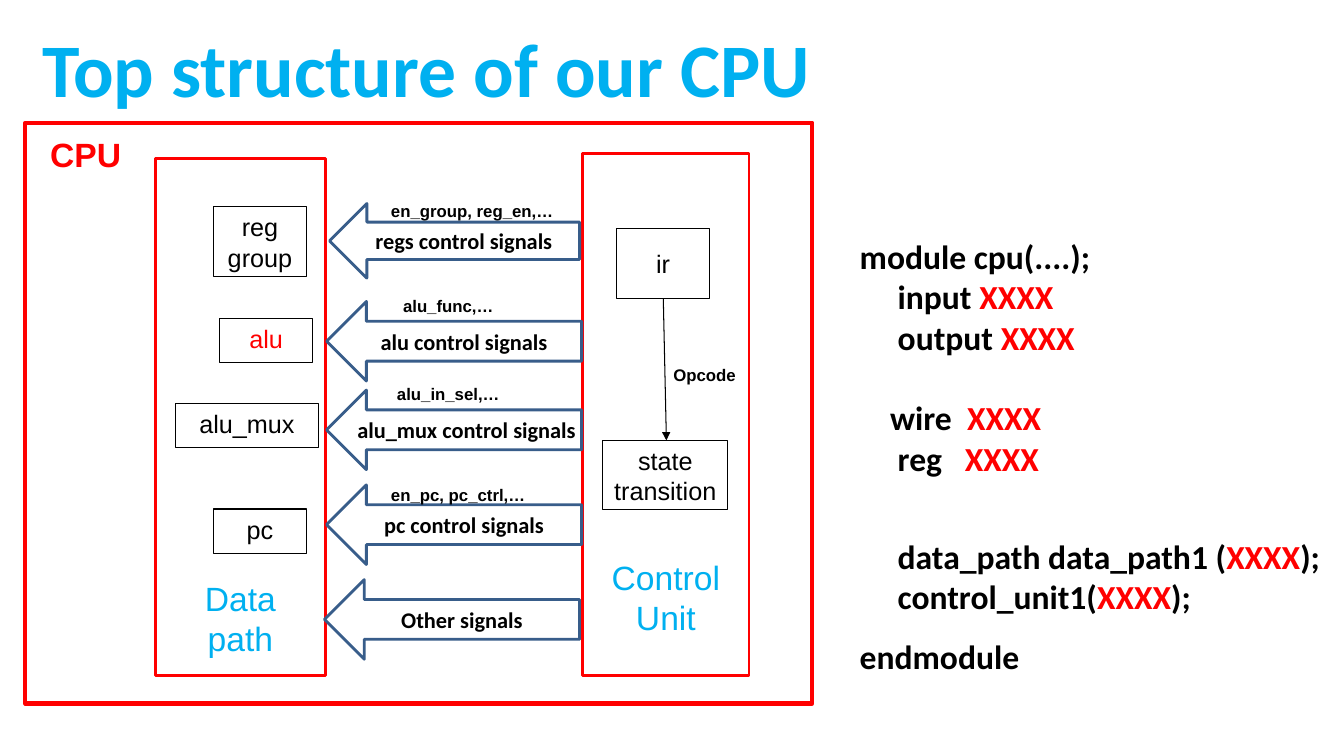
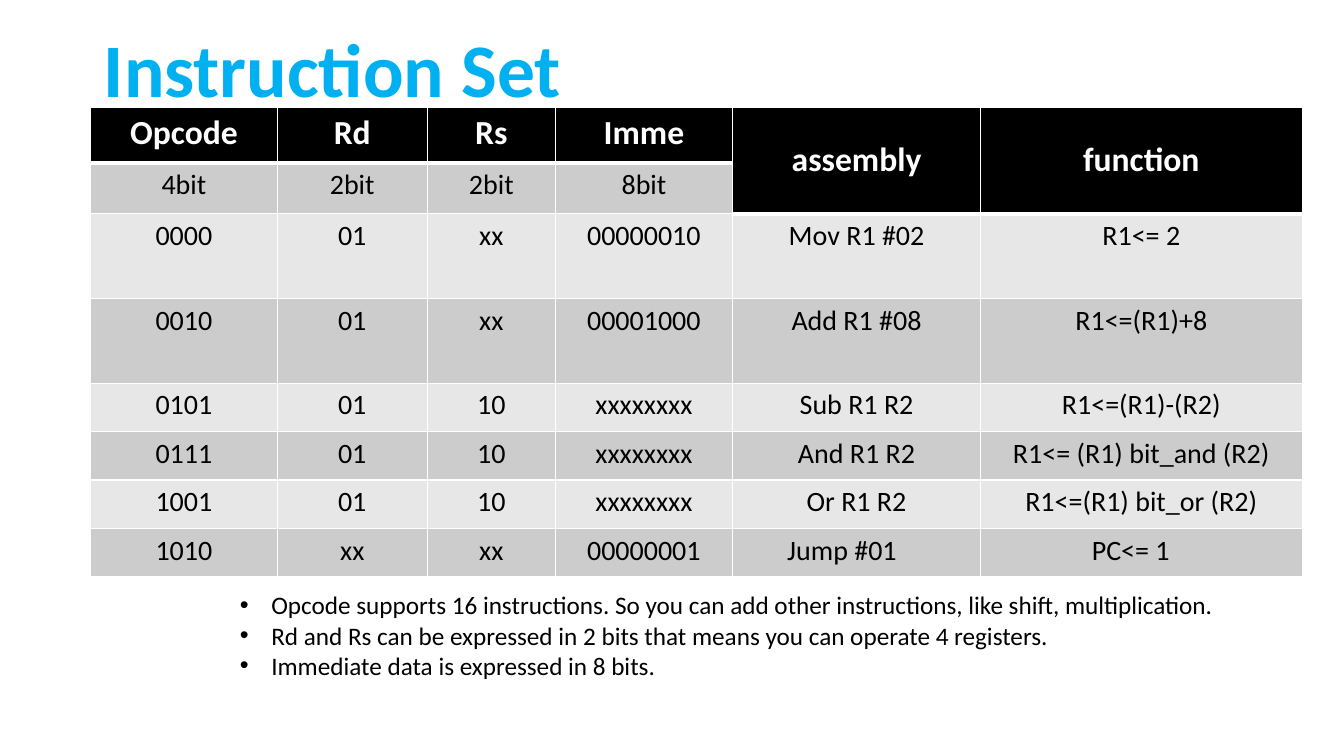
"""Build two slides on a simple CPU: its top structure and its instruction set."""
from lxml import etree
from pptx import Presentation
from pptx.dml.color import RGBColor
from pptx.enum import shapes, text
from pptx.oxml import ns
from pptx.util import Pt

BLACK = RGBColor(0x00, 0x00, 0x00)
WHITE = RGBColor(0xFF, 0xFF, 0xFF)
RED = RGBColor(0xFF, 0x00, 0x00)
CYAN = RGBColor(0x00, 0xB0, 0xF0)
NAVY = RGBColor(0x38, 0x5D, 0x8A)
DARK_BAND = RGBColor(0xCC, 0xCC, 0xCC)
LIGHT_BAND = RGBColor(0xE7, 0xE7, 0xE7)

TITLE = {"name": "Calibri", "size": Pt(54), "bold": True}
CODE = {"name": "Calibri", "size": Pt(24), "bold": True}
ARROW = {"name": "Calibri", "size": Pt(16), "bold": True}
BODY = {"name": "Calibri", "size": Pt(18), "bold": False}
CELL = {"name": "Calibri", "size": Pt(20), "bold": False}
CPU = {"name": "Arial", "size": Pt(24), "bold": True}
UNIT = {"name": "Arial", "size": Pt(24), "bold": False}
BLOCK = {"name": "Arial", "size": Pt(18), "bold": False}
LABEL = {"name": "Arial", "size": Pt(12), "bold": True}

LEFT, CENTER = text.PP_ALIGN.LEFT, text.PP_ALIGN.CENTER
TOP, MIDDLE, BOTTOM = (text.MSO_ANCHOR.TOP, text.MSO_ANCHOR.MIDDLE,
                       text.MSO_ANCHOR.BOTTOM)
RECT = shapes.MSO_SHAPE.RECTANGLE
LEFT_ARROW = shapes.MSO_SHAPE.LEFT_ARROW

BLOCKS = [
    ("reg group", (152.6, 147.6, 66.2, 49.7), TOP, BLACK),
    ("alu", (157, 227.5, 66.2, 31.7), TOP, RED),
    ("alu_mux", (125.3, 288, 102.2, 31.7), TOP, BLACK),
    ("pc", (152.6, 363.6, 66.2, 31.7), TOP, BLACK),
    ("ir", (440.6, 163.4, 66.2, 49.7), MIDDLE, BLACK),
    ("state\ntransition", (430.6, 314.6, 89.3, 49.7), TOP, BLACK),
]
ARROWS = [
    ("regs control signals", (235.4, 145.4, 178.6, 53.3), {}),
    ("alu control signals", (233.3, 215.3, 182.2, 56.9), {}),
    ("alu_mux control signals", (233.3, 278.6, 182.2, 56.9),
     {"margin_left": Pt(3.6), "margin_right": Pt(0)}),
    ("pc control signals", (233.3, 346.3, 182.2, 56.9), {}),
    ("Other signals", (231.8, 414, 182.2, 56.9), {}),
]
LABELS = [
    ("en_group, reg_en,…", (272.2, 139.7, 141.8, 21.6)),
    ("alu_func,…", (280.8, 207.4, 123.8, 21.6)),
    ("alu_in_sel,…", (276.5, 270.7, 125.3, 21.6)),
    ("en_pc, pc_ctrl,…", (272.2, 342.7, 141.8, 21.6)),
    ("Opcode", (473.8, 257, 65.5, 21.6)),
]
CODE_LINES = [
    ("module cpu(....);", {"line_spacing": 1.5}),
    ("     input XXXX", {}),
    ("     output XXXX", {}),
    ("    wire  XXXX", {"space_before": Pt(29)}),
    ("     reg   XXXX", {}),
    ("     data_path data_path1 (XXXX);", {"space_before": Pt(41)}),
    ("     control_unit1(XXXX);", {}),
    ("endmodule", {"line_spacing": 1.5}),
]
INSTRUCTIONS = [
    ("Opcode", "Rd", "Rs", "Imme", "assembly", "function"),
    ("4bit", "2bit", "2bit", "8bit", "", ""),
    ("0000", "01", "xx", "00000010", "Mov R1 #02", "R1<= 2"),
    ("0010", "01", "xx", "00001000", "Add R1 #08", "R1<=(R1)+8"),
    ("0101", "01", "10", "xxxxxxxx", "Sub R1 R2", "R1<=(R1)-(R2)"),
    ("0111", "01", "10", "xxxxxxxx", "And R1 R2", "R1<= (R1) bit_and (R2)"),
    ("1001", "01", "10", "xxxxxxxx", "Or R1 R2", "R1<=(R1) bit_or (R2)"),
    ("1010", "xx", "xx", "00000001", "Jump #01", "PC<= 1"),
]
COLUMNS = (133.2, 107.3, 91.4, 126.7, 177.1, 229.7)
ROWS = (39.6, 34.6, 60.5, 60.5, 34.6, 34.6, 34.6, 34.6)
MERGED = (4, 5)
NOTES = [
    "Opcode supports 16 instructions. So you can add other instructions, "
    "like shift, multiplication.",
    "Rd and Rs can be expressed in 2 bits that means you can operate 4 registers.",
    "Immediate data is expressed in 8 bits.",
]


def points(box):
    """Turn numbers into point lengths."""
    return [Pt(v) for v in box]


def assign(obj, values):
    """Set attributes of an object from a dict."""
    for name, value in values.items():
        setattr(obj, name, value)


def add_run(p, words, font, color):
    """Append one formatted run to a paragraph."""
    r = p.add_run()
    r.text = words
    assign(r.font, font)
    r.font.color.rgb = color


def add_lines(tf, lines):
    """Yield a paragraph for each line of a text frame."""
    for i, line in enumerate(lines):
        yield (tf.add_paragraph() if i else tf.paragraphs[0]), line


def write(tf, words, font, color, align=LEFT, **frame):
    """Fill a text frame, one paragraph per line."""
    assign(tf, {"word_wrap": True, **frame})
    for p, line in add_lines(tf, words.split("\n")):
        p.alignment = align
        add_run(p, line, font, color)


def add_text(s, box):
    """Add a wrapping text box and return its frame."""
    tf = s.shapes.add_textbox(*points(box)).text_frame
    tf.word_wrap = True
    return tf


def add_box(s, kind, box, line, width, fill=None):
    """Add an outlined shape and return its frame."""
    sp = s.shapes.add_shape(kind, *points(box))
    sp.shadow.inherit = False
    if fill is None:
        sp.fill.background()
    else:
        sp.fill.solid()
        sp.fill.fore_color.rgb = fill
    sp.line.color.rgb = line
    sp.line.width = Pt(width)
    return sp.text_frame


def add_arrow_line(s, start, end):
    """Add a thin black connector with an arrowhead at its end."""
    cx = s.shapes.add_connector(shapes.MSO_CONNECTOR.STRAIGHT,
                                *points(start + end))
    cx.line.color.rgb = BLACK
    cx.line.width = Pt(0.75)
    ln = cx.line._get_or_add_ln()
    etree.SubElement(ln, ns.qn("a:tailEnd"), type="triangle")
    etree.SubElement(cx._element.spPr, ns.qn("a:effectLst"))


def add_titled_slide(prs, title, left):
    """Add a title-only slide with the shared title style."""
    s = prs.slides.add_slide(prs.slide_layouts[5])
    sp = s.shapes.title
    assign(sp, dict(zip(("left", "top", "width", "height"),
                        points((left, 0, 828, 104.4)))))
    write(sp.text_frame, title, TITLE, CYAN, vertical_anchor=MIDDLE,
          auto_size=text.MSO_AUTO_SIZE.NONE)
    sp.text_frame.paragraphs[0].line_spacing = 0.9
    return s


def add_code(s, box):
    """Add the module listing with red placeholders."""
    for p, (line, spacing) in add_lines(add_text(s, box), CODE_LINES):
        assign(p, spacing)
        before, mark, after = line.partition("XXXX")
        for words, color in ((before, BLACK), (mark, RED), (after, BLACK)):
            if words:
                add_run(p, words, CODE, color)


def add_bullets(s, box, lines):
    """Add a bulleted list."""
    for p, line in add_lines(add_text(s, box), lines):
        pPr = p._p.get_or_add_pPr()
        pPr.set("marL", str(Pt(22.5)))
        pPr.set("indent", str(-Pt(22.5)))
        etree.SubElement(pPr, ns.qn("a:buFont"), typeface="Arial")
        etree.SubElement(pPr, ns.qn("a:buChar"), char="•")
        add_run(p, line, BODY, BLACK)


def add_borders(cell, bottom):
    """Give a cell white borders with the given bottom width."""
    tcPr = cell._tc.get_or_add_tcPr()
    for i, (edge, width) in enumerate((("L", 1), ("R", 1), ("B", bottom))):
        ln = etree.Element(ns.qn("a:ln" + edge), w=str(Pt(width)))
        fill = etree.SubElement(ln, ns.qn("a:solidFill"))
        etree.SubElement(fill, ns.qn("a:srgbClr"), val=str(WHITE))
        tcPr.insert(i, ln)


def add_instruction_table(s, left, top):
    """Add the table of instruction formats."""
    frame = s.shapes.add_table(len(ROWS), len(COLUMNS), *points(
        (left, top, sum(COLUMNS), sum(ROWS))))
    table = frame.table
    table.horz_banding = False
    for column, width in zip(table.columns, COLUMNS):
        column.width = Pt(width)
    for r, (row, height) in enumerate(zip(table.rows, ROWS)):
        row.height = Pt(height)
        for c, cell in enumerate(row.cells):
            head = r == 0 or (r == 1 and c in MERGED)
            cell.fill.solid()
            cell.fill.fore_color.rgb = (
                BLACK if head else DARK_BAND if r % 2 else LIGHT_BAND)
            add_borders(cell, 3 if head else 1)
            if INSTRUCTIONS[r][c]:
                write(cell.text_frame, INSTRUCTIONS[r][c],
                      CODE if head else CELL, WHITE if head else BLACK, CENTER)
    for c in MERGED:
        table.cell(0, c).merge(table.cell(1, c))
        table.cell(0, c).vertical_anchor = MIDDLE
    for c, margin in zip(MERGED, (39, 79.5)):
        cell = table.cell(len(ROWS) - 1, c)
        cell.margin_left = Pt(margin)
        cell.text_frame.paragraphs[0].alignment = LEFT


def build_structure(prs):
    """Build the block diagram slide."""
    s = add_titled_slide(prs, "Top structure of our CPU", 23)
    add_code(s, (607, 150.5, 353, 339))
    add_box(s, RECT, (18, 87.8, 562.3, 414.7), RED, 3)
    for words, box, margin in (
            ("Data\npath", (110.9, 113, 121.7, 369.4), 12),
            ("Control\nUnit", (416.2, 109.4, 118.8, 373), 27)):
        write(add_box(s, RECT, box, RED, 2), words, UNIT, CYAN, CENTER,
              vertical_anchor=BOTTOM, margin_bottom=Pt(margin))
    write(add_text(s, (28.8, 92.2, 69.1, 36)), "CPU", CPU, RED)
    for words, box, anchor, color in BLOCKS:
        write(add_box(s, RECT, box, BLACK, 0.75, WHITE), words, BLOCK, color,
              CENTER, vertical_anchor=anchor)
    for words, box, margins in ARROWS:
        write(add_box(s, LEFT_ARROW, box, NAVY, 2, WHITE), words, ARROW, BLACK,
              CENTER, vertical_anchor=MIDDLE, **margins)
    add_arrow_line(s, (473.8, 213), (476, 314.6))
    for words, box in LABELS:
        write(add_text(s, box), words, LABEL, BLACK)


def build_instruction_set(prs):
    """Build the instruction table slide."""
    s = add_titled_slide(prs, "Instruction Set", 67)
    add_instruction_table(s, 64.8, 76.6)
    add_bullets(s, (164.2, 417.6, 731.5, 94.3), NOTES)


def main():
    """Build and save the presentation."""
    prs = Presentation()
    prs.slide_width, prs.slide_height = Pt(960), Pt(540)
    build_structure(prs)
    build_instruction_set(prs)
    prs.save("out.pptx")


if __name__ == "__main__":
    main()
